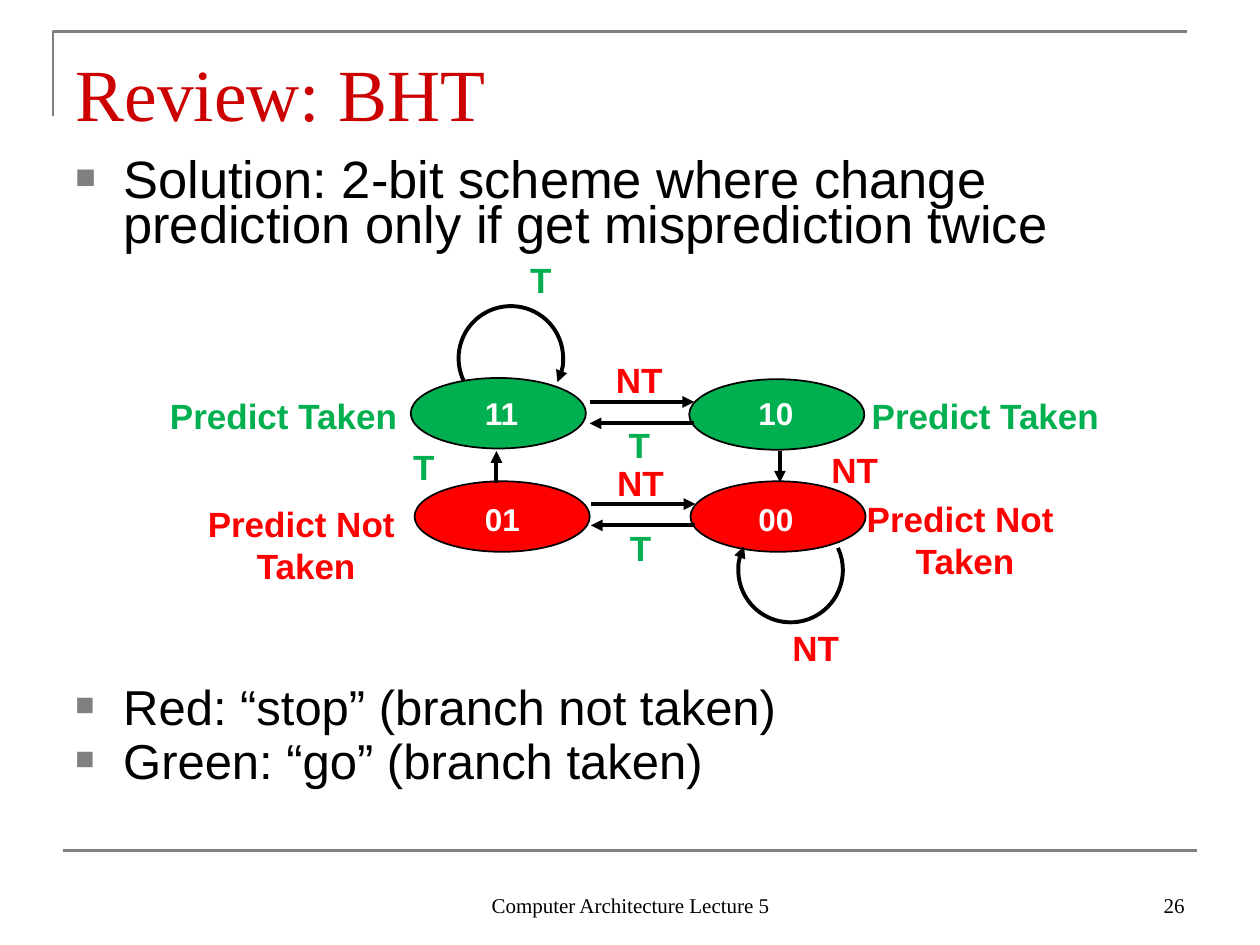
"""Builds the branch history table review slide with its 2-bit predictor diagram."""
import lxml.etree
import pptx
import pptx.dml.color
import pptx.enum.shapes
import pptx.enum.text
import pptx.oxml.ns
import pptx.util

Inches = pptx.util.Inches
Pt = pptx.util.Pt
qn = pptx.oxml.ns.qn
ALIGN = pptx.enum.text.PP_ALIGN
ANCHOR = pptx.enum.text.MSO_ANCHOR
AUTO_SIZE = pptx.enum.text.MSO_AUTO_SIZE
SHAPE = pptx.enum.shapes.MSO_SHAPE
GREEN, RED, GRAY, BLACK, WHITE = "00B050", "FF0000", "808080", "000000", "FFFFFF"


def rgb(value):
    return pptx.dml.color.RGBColor.from_string(value)


def assign(target, values):
    for name, value in values.items():
        setattr(target, name, value)


def add_element(parent, tag, **attributes):
    return lxml.etree.SubElement(parent, qn(tag), attributes)


class SlideBuilder:
    label_font = {"name": "Arial", "size": Pt(20), "bold": True}
    state_font = {"name": "Arial", "size": Pt(18), "bold": True}
    footer_font = {"name": "Times New Roman", "size": Pt(12)}
    title_font = {"name": "Times New Roman", "size": Pt(42)}
    label_frame = {"word_wrap": False, "auto_size": AUTO_SIZE.SHAPE_TO_FIT_TEXT}
    footer_frame = {"word_wrap": True, "vertical_anchor": ANCHOR.BOTTOM}
    title_frame = {"word_wrap": True, "auto_size": AUTO_SIZE.NONE,
                   "vertical_anchor": ANCHOR.BOTTOM, "margin_bottom": 0}

    def __init__(self, presentation):
        self.slide = presentation.slides.add_slide(presentation.slide_layouts[5])
        self.shapes = self.slide.shapes

    def place(self, shape, left, top, width, height):
        assign(shape, {"left": Inches(left), "top": Inches(top),
                       "width": Inches(width), "height": Inches(height)})

    def fill_paragraph(self, paragraph, text, font, color, alignment=ALIGN.LEFT):
        paragraph.alignment = alignment
        run = paragraph.add_run()
        run.text = text
        assign(run.font, font)
        run.font.color.rgb = rgb(color)

    def outline(self, shape, color, width, arrow=False):
        shape.line.width = Pt(width)
        shape.line.color.rgb = rgb(color)
        if arrow:
            properties = shape._element.spPr.find(qn("a:ln"))
            add_element(properties, "a:tailEnd", type="triangle")

    def title(self, text, box):
        shape = self.shapes.title
        self.place(shape, *box)
        assign(shape.text_frame, self.title_frame)
        self.fill_paragraph(shape.text_frame.paragraphs[0], text,
                            self.title_font, "CC0000")

    def text(self, lines, box, font, color, frame, alignment=ALIGN.LEFT):
        text_frame = self.shapes.add_textbox(*map(Inches, box)).text_frame
        assign(text_frame, frame)
        for index, line in enumerate(lines):
            paragraph = text_frame.add_paragraph() if index else text_frame.paragraphs[0]
            self.fill_paragraph(paragraph, line, font, color, alignment)

    def label(self, lines, left, top, width, color, alignment=ALIGN.LEFT):
        height = 0.43 if len(lines) == 1 else 0.76
        self.text(lines, (left, top, width, height), self.label_font, color,
                  self.label_frame, alignment)

    def bullets(self, items, box):
        text_frame = self.shapes.add_textbox(*map(Inches, box)).text_frame
        text_frame.word_wrap = True
        for index, (text, size, space) in enumerate(items):
            paragraph = text_frame.add_paragraph() if index else text_frame.paragraphs[0]
            properties = paragraph._p.get_or_add_pPr()
            properties.set("marL", str(Inches(0.38)))
            properties.set("indent", str(-Inches(0.38)))
            add_element(add_element(properties, "a:buClr"), "a:srgbClr", val=GRAY)
            add_element(properties, "a:buSzPct", val="65000")
            add_element(properties, "a:buFont", typeface="Arial")
            add_element(properties, "a:buChar", char="■")
            assign(paragraph, {"line_spacing": 0.7, "space_before": Pt(space)})
            self.fill_paragraph(paragraph, text, {"name": "Arial", "size": Pt(size)}, BLACK)

    def corner(self, points):
        start, *others = [tuple(map(Inches, point)) for point in points]
        builder = self.shapes.build_freeform(*start)
        builder.add_line_segments(others, close=False)
        shape = builder.convert_to_shape()
        shape.shadow.inherit = False
        shape.fill.background()
        self.outline(shape, GRAY, 1.5)

    def line(self, start, end, color=BLACK, width=2.25, arrow=True):
        connector = self.shapes.add_connector(
            pptx.enum.shapes.MSO_CONNECTOR.STRAIGHT, *map(Inches, start + end))
        self.outline(connector, color, width, arrow)
        add_element(connector._element.spPr, "a:effectLst")

    def state(self, left, top, color):
        shape = self.shapes.add_shape(
            SHAPE.OVAL, *map(Inches, (left, top, 1.39, 0.56)))
        shape.shadow.inherit = False
        shape.fill.solid()
        shape.fill.fore_color.rgb = rgb(color)
        self.outline(shape, BLACK, 1)

    def loop(self, left, top, start_degrees, end_degrees):
        shape = self.shapes.add_shape(
            SHAPE.ARC, *map(Inches, (left, top, 0.83, 0.83)))
        for index, degrees in enumerate((start_degrees, end_degrees)):
            shape.adjustments[index] = degrees * 0.6
        shape.shadow.inherit = False
        shape.fill.background()
        self.outline(shape, BLACK, 2.25, arrow=True)


def main():
    presentation = pptx.Presentation()
    assign(presentation, {"slide_width": Inches(10), "slide_height": Inches(7.5)})
    builder = SlideBuilder(presentation)

    builder.corner([(0.42, 0.92), (0.42, 0.25), (9.42, 0.25)])
    builder.line((0.5, 6.75), (9.5, 6.75), GRAY, 1.5, arrow=False)
    for text, left, width, alignment in (
            ("Computer Architecture Lecture 5", 3.42, 3.17, ALIGN.CENTER),
            ("26", 7.17, 2.33, ALIGN.RIGHT)):
        builder.text([text], (left, 6.83, width, 0.5), builder.footer_font, BLACK,
                     builder.footer_frame, alignment)
    builder.title("Review: BHT", (0.5, 0.3, 9, 0.78))
    builder.bullets([
        ("Solution: 2-bit scheme where change prediction only if get "
         "misprediction twice", 30, 0),
        ("Red: “stop” (branch not taken)", 28, 252),
        ("Green: “go” (branch taken)", 28, 7),
    ], (0.5, 1.25, 9, 5.45))

    for left, top, color in ((3.26, 3, GREEN), (5.47, 3.01, GREEN),
                             (3.29, 3.82, RED), (5.48, 3.82, RED)):
        builder.state(left, top, color)
    builder.loop(3.64, 2.43, 155, 27)
    builder.loop(5.86, 4.11, 335, 207)
    for left, top in ((4.68, 3.19), (4.69, 4)):
        right = left + 0.83
        builder.line((left, top), (right, top))
        builder.line((right, top + 0.17), (left, top + 0.17))
    builder.line((3.94, 3.83), (3.94, 3.58))
    builder.line((6.19, 3.58), (6.19, 3.83))

    for left, top in ((4.11, 2), (3.18, 3.49), (4.89, 3.31), (4.9, 4.13)):
        builder.label(["T"], left, top, 0.37, GREEN)
    for left, top in ((6.5, 3.51), (6.19, 4.92), (4.79, 2.8), (4.8, 3.61)):
        builder.label(["NT"], left, top, 0.57, RED)
    for left in (1.25, 6.82):
        builder.label(["Predict Taken"], left, 3.08, 2.02, GREEN)
    for left, top in ((1.55, 3.94), (6.78, 3.9)):
        builder.label(["Predict Not ", "Taken"], left, top, 1.76, RED, ALIGN.CENTER)
    for text, left, top in (("11", 3.75, 3.08), ("01", 3.75, 3.92),
                            ("10", 5.92, 3.08), ("00", 5.92, 3.92)):
        builder.text([text], (left, top, 0.48, 0.4), builder.state_font, WHITE,
                     builder.label_frame)

    presentation.save("out.pptx")


if __name__ == "__main__":
    main()
